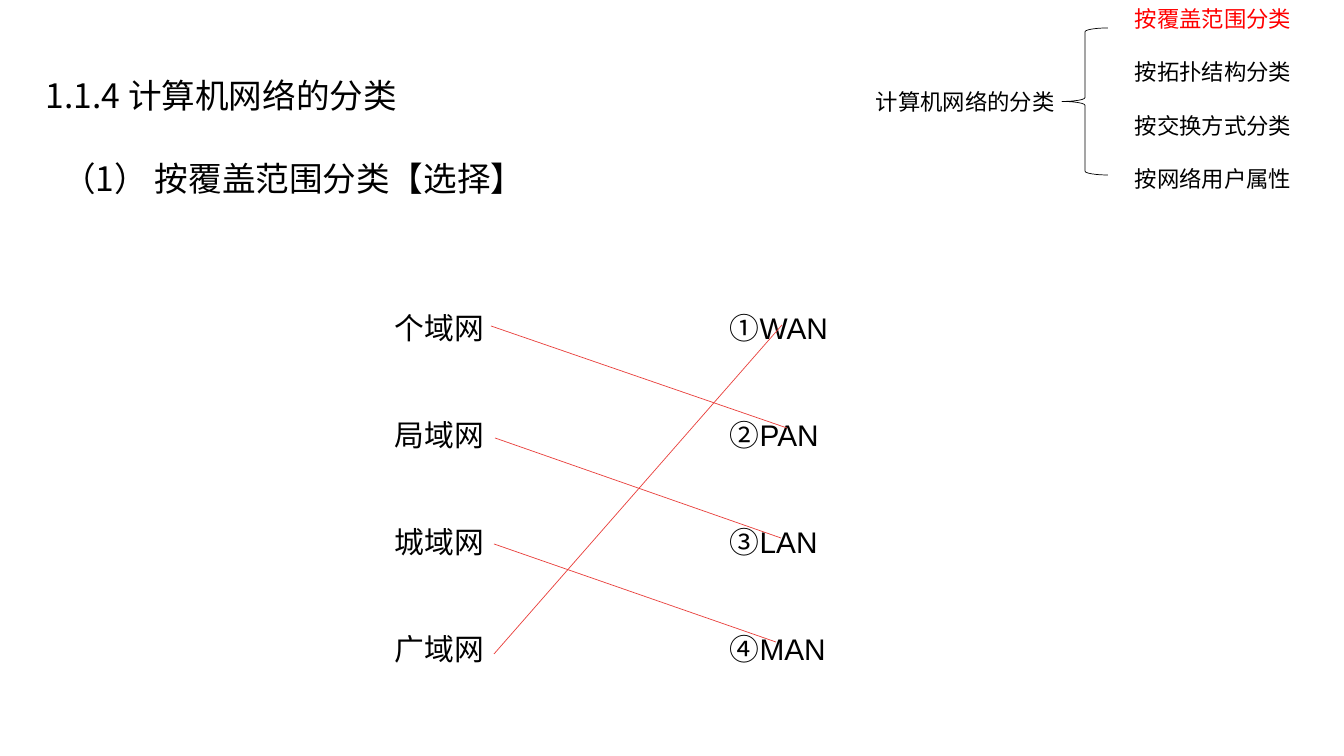
from lxml.etree import SubElement
from pptx import Presentation
from pptx.dml.color import RGBColor
from pptx.enum.shapes import MSO_CONNECTOR, MSO_SHAPE
from pptx.enum.text import MSO_ANCHOR, MSO_AUTO_SIZE, PP_ALIGN
from pptx.oxml.ns import qn
from pptx.util import Emu, Pt

BLACK, RED, LINE_RED = "000000", "FF0000", "E9403C"
SANS, CJK = "Arial", "Noto Sans CJK SC"
TITLE_ONLY = 5


def px(value):
    return Emu(round(value * 914400 / 100.8))


def colour(value):
    return RGBColor.from_string(value)


def set_attributes(target, values):
    for name, value in values.items():
        setattr(target, name, value)


def place(shape, box):
    set_attributes(shape, dict(zip(("left", "top", "width", "height"), map(px, box))))


def add_tab_stop(paragraph, position):
    tabs = SubElement(paragraph._p.get_or_add_pPr(), qn("a:tabLst"))
    SubElement(tabs, qn("a:tab"), pos=str(px(position)), algn="l")


def write(shape, lines, size, font=SANS, line_spacing=1.0, gap=0, tab=None, indent=0, first=BLACK):
    frame = shape.text_frame
    set_attributes(frame, {
        "word_wrap": True, "auto_size": MSO_AUTO_SIZE.NONE, "vertical_anchor": MSO_ANCHOR.TOP,
        "margin_left": px(10), "margin_right": px(10), "margin_top": px(5), "margin_bottom": px(5),
    })
    for index, line in enumerate(lines):
        paragraph = frame.add_paragraph() if index else frame.paragraphs[0]
        set_attributes(paragraph, {
            "alignment": PP_ALIGN.LEFT, "line_spacing": line_spacing,
            "space_before": Pt(gap if index else 0), "space_after": Pt(0),
        })
        if indent:
            paragraph._p.get_or_add_pPr().set("indent", str(px(indent)))
        if tab:
            add_tab_stop(paragraph, tab)
        run = paragraph.add_run()
        run.text = line
        set_attributes(run.font, {"name": font, "size": Pt(size), "bold": False})
        run.font.color.rgb = colour(BLACK if index else first)
        SubElement(run._r.get_or_add_rPr(), qn("a:ea"), typeface=CJK)


def add_text(slide, box, lines, size, **style):
    shape = slide.shapes.add_textbox(*map(px, box))
    write(shape, lines, size, **style)


def add_headings(slide, box):
    left, top, width, height = box
    title = slide.shapes.title
    place(title, (left, top, 398, 64))
    write(title, ["1.1.4 计算机网络的分类"], 24, font=CJK, line_spacing=1.5)
    add_text(slide, (left + 8, top + 103, width - 8, height - 103),
             ["（1）\t按覆盖范围分类【选择】"], 24, font=CJK, tab=124, indent=8)


def add_overview(slide, box):
    left, top, width, height = box
    add_text(slide, (left, top + 83, 204, 37), ["计算机网络的分类"], 16)
    brace = slide.shapes.add_shape(
        MSO_SHAPE.LEFT_BRACE, *map(px, (left + 196, top + 28, 46, 147)))
    brace.shadow.inherit = False
    brace.fill.background()
    brace.line.color.rgb = colour(BLACK)
    brace.line.width = Pt(0.5)
    add_text(slide, (left + 259, top, width - 259, height),
             ["按覆盖范围分类", "按拓扑结构分类", "按交换方式分类", "按网络用户属性"],
             16, gap=19, first=RED)


def add_matching(slide, box):
    left, top, width, height = box
    pairs = [("个域网", "①WAN"), ("局域网", "②PAN"), ("城域网", "③LAN"), ("广域网", "④MAN")]
    add_text(slide, box, ["\t".join(pair) for pair in pairs],
             21.3, line_spacing=1.5, gap=38, tab=335)
    answers = [(106, 39, 402, 141), (110, 151, 396, 251), (109, 257, 391, 355), (109, 367, 397, 38)]
    for start_x, start_y, end_x, end_y in answers:
        points = (left + start_x, top + start_y, left + end_x, top + end_y)
        connector = slide.shapes.add_connector(MSO_CONNECTOR.STRAIGHT, *map(px, points))
        connector.line.color.rgb = colour(LINE_RED)
        connector.line.width = Pt(0.5)
        SubElement(connector._element.spPr, qn("a:effectLst"))


def main():
    presentation = Presentation()
    set_attributes(presentation, {"slide_width": px(1344), "slide_height": px(756)})
    slide = presentation.slides.add_slide(presentation.slide_layouts[TITLE_ONLY])
    slide.background.fill.solid()
    slide.background.fill.fore_color.rgb = colour("FFFFFF")
    add_overview(slide, (866, 0, 460, 204))
    add_matching(slide, (385, 287, 662, 389))
    add_headings(slide, (36, 50, 518, 190))
    presentation.save("out.pptx")


if __name__ == "__main__":
    main()
